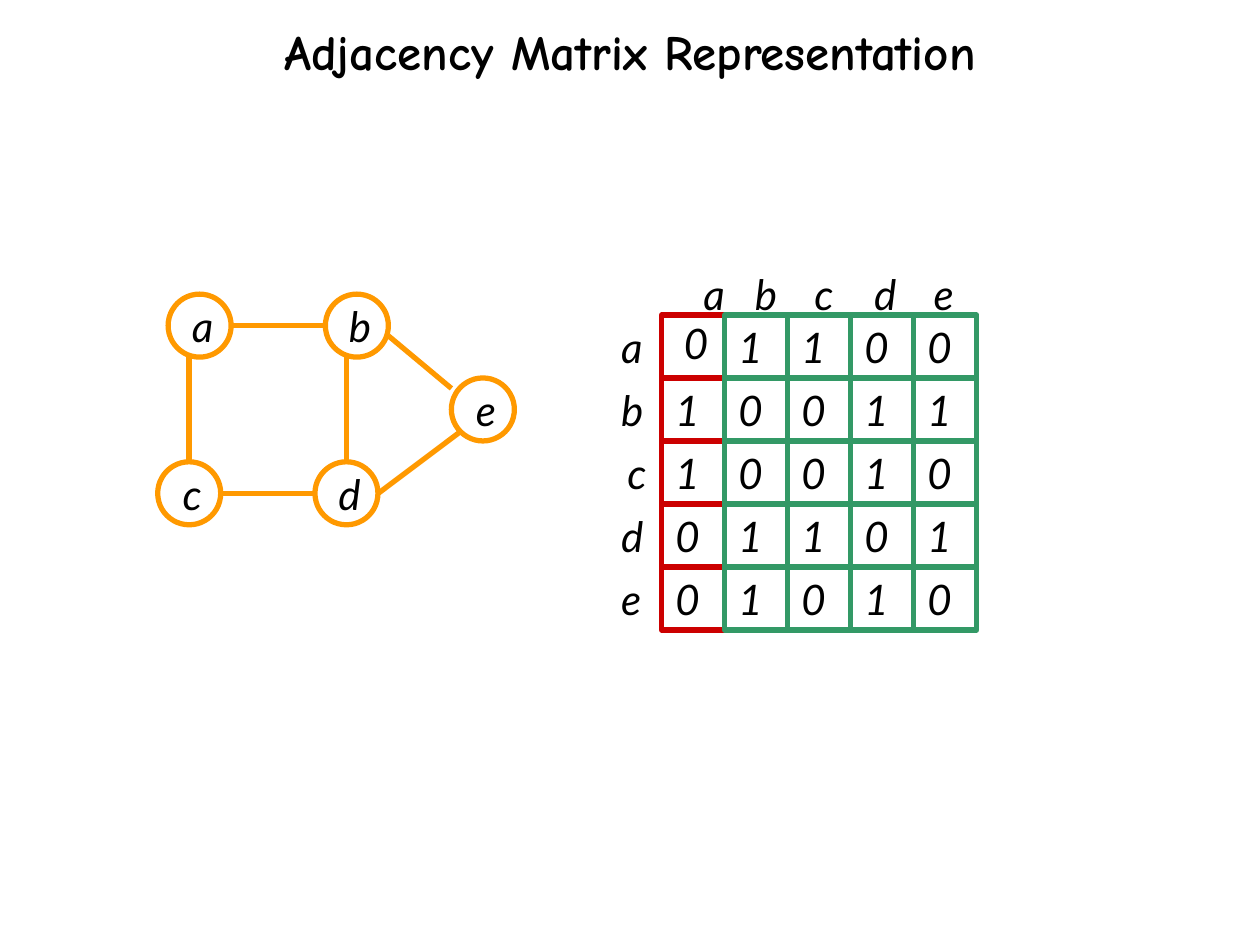
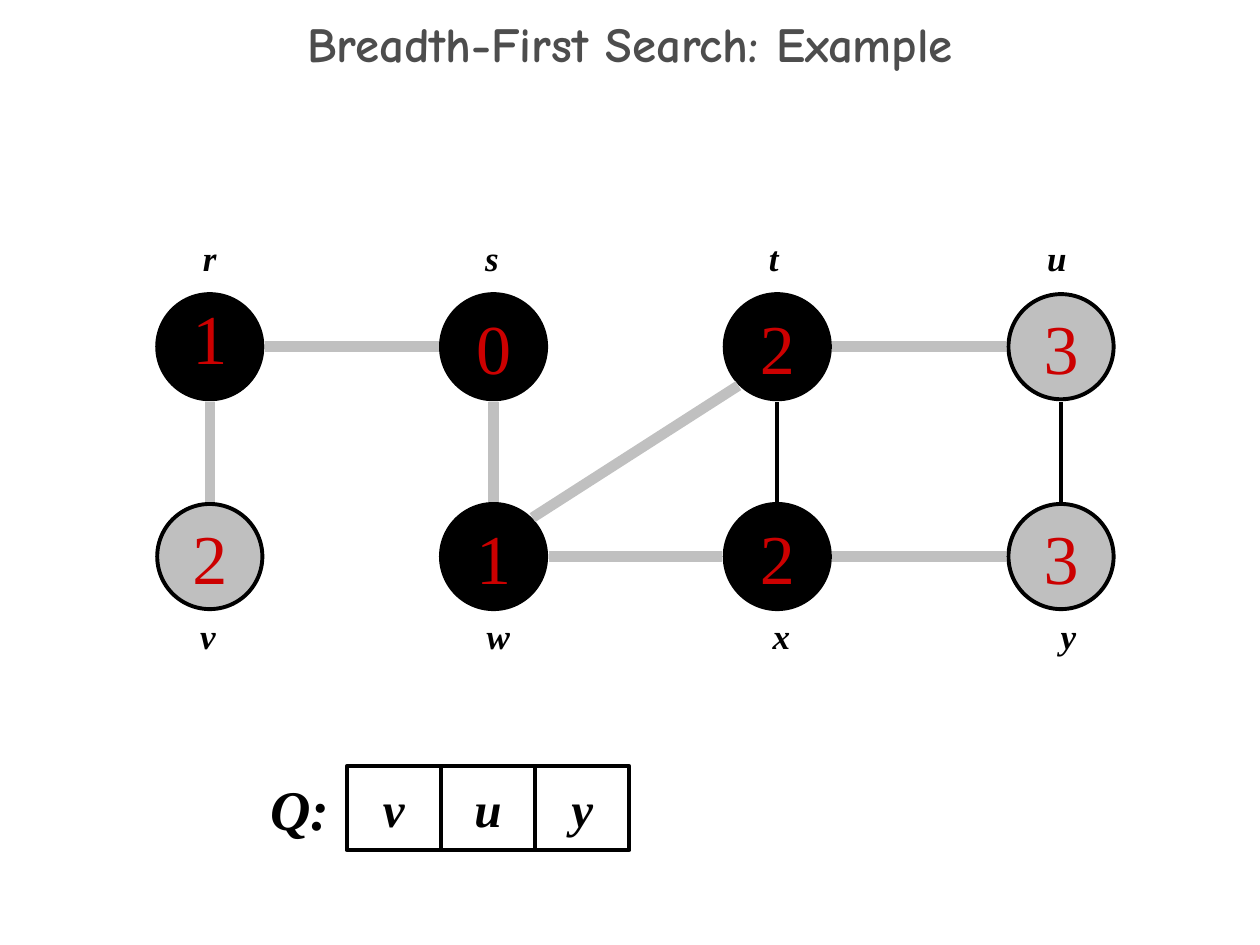
"""Build two slides on graphs: an adjacency matrix and a breadth-first search."""
from math import copysign, hypot

from lxml.etree import SubElement
from pptx import Presentation
from pptx.dml.color import RGBColor
from pptx.enum.shapes import MSO_CONNECTOR as Connector, MSO_SHAPE as Shape
from pptx.enum.text import MSO_ANCHOR as Anchor, MSO_AUTO_SIZE as AutoSize, PP_ALIGN as Align
from pptx.oxml.ns import qn
from pptx.util import Cm, Pt

BLACK = RGBColor(0x00, 0x00, 0x00)
CHARCOAL = RGBColor(0x4D, 0x4D, 0x4D)
ORANGE = RGBColor(0xFF, 0x99, 0x00)
RED = RGBColor(0xCC, 0x00, 0x00)
GREEN = RGBColor(0x33, 0x99, 0x66)
GREY = RGBColor(0xBF, 0xBF, 0xBF)
SILVER = RGBColor(0xC0, 0xC0, 0xC0)

TITLE = {"name": "Comic Neue", "size": Pt(28), "bold": True, "italic": False}
LETTER = {"name": "Lato", "size": Pt(24), "italic": True}
DISTANCE = {"name": "Times New Roman", "size": Pt(40)}
VERTEX = {"name": "Times New Roman", "size": Pt(20), "bold": True, "italic": True}
QUEUE_ITEM = VERTEX | {"size": Pt(28)}
QUEUE_NAME = VERTEX | {"size": Pt(32)}


class Deck:
    def __init__(self):
        self.presentation = Presentation()
        self.presentation.slide_width = Cm(25.4)
        self.presentation.slide_height = Cm(19.05)
        self.slide = None

    def fill_text(self, shape, text, style, color=BLACK, align=Align.CENTER, spacing=None):
        paragraph = shape.text_frame.paragraphs[0]
        paragraph.text = text
        paragraph.alignment = align
        paragraph.line_spacing = spacing
        font = paragraph.runs[0].font
        for attribute, value in style.items():
            setattr(font, attribute, value)
        font.color.rgb = color

    def add_slide(self, title, top, color):
        self.slide = self.presentation.slides.add_slide(self.presentation.slide_layouts[5])
        shape = self.slide.shapes.title
        box = {"left": Cm(0), "top": Cm(top), "width": Cm(25.4), "height": Cm(1.27)}
        for attribute, value in box.items():
            setattr(shape, attribute, value)
        shape.text_frame.auto_size = AutoSize.NONE
        shape.text_frame.vertical_anchor = Anchor.MIDDLE
        self.fill_text(shape, title, TITLE, color, spacing=0.7)

    def text(self, text, box, style, wrap=False, anchor=Anchor.TOP, align=Align.CENTER):
        shape = self.slide.shapes.add_textbox(*map(Cm, box))
        frame = shape.text_frame
        frame.word_wrap = wrap
        frame.vertical_anchor = anchor
        frame.auto_size = AutoSize.SHAPE_TO_FIT_TEXT if anchor == Anchor.TOP else AutoSize.NONE
        self.fill_text(shape, text, style, align=align)
        return shape

    def tabbed_text(self, words, box, style, inset, stops):
        shape = self.text("\t".join(words), box, style, True, align=Align.LEFT)
        shape.text_frame.margin_left = Cm(inset)
        properties = shape.text_frame.paragraphs[0]._p.get_or_add_pPr()
        tabs = SubElement(properties, qn("a:tabLst"))
        for stop in stops:
            SubElement(tabs, qn("a:tab"), pos=str(Cm(stop)), algn="l")

    def shape(self, kind, box, line, width, fill=None):
        shape = self.slide.shapes.add_shape(kind, *map(Cm, box))
        shape.shadow.inherit = False
        shape.line.color.rgb = line
        shape.line.width = Pt(width)
        if fill is None:
            shape.fill.background()
        else:
            shape.fill.solid()
            shape.fill.fore_color.rgb = fill
        return shape

    def labelled_shape(self, kind, box, text, style, color=BLACK, fill=None, spacing=None):
        shape = self.shape(kind, box, BLACK, 2.25, fill)
        shape.text_frame.word_wrap = False
        shape.text_frame.vertical_anchor = Anchor.MIDDLE
        self.fill_text(shape, text, style, color, spacing=spacing)

    def line(self, points, color, width):
        connector = self.slide.shapes.add_connector(Connector.STRAIGHT, *map(Cm, points))
        connector.line.color.rgb = color
        connector.line.width = Pt(width)
        SubElement(connector._element.spPr, qn("a:effectLst"))


def add_adjacency_slide(deck):
    deck.add_slide("Adjacency Matrix Representation", 0.53, BLACK)
    size = 1.27
    nodes = {"a": (3.39, 5.93), "b": (6.56, 5.93), "c": (3.18, 9.31),
             "d": (6.35, 9.31), "e": (9.1, 7.62)}
    edges = [(3.81, 9.31, 3.81, 7.2), (6.56, 6.56, 4.66, 6.56), (6.35, 9.95, 4.45, 9.95),
             (6.99, 9.31, 6.99, 7.2), (9.1, 7.83, 7.83, 6.77), (9.31, 8.68, 7.62, 9.95)]
    for name, (left, top) in nodes.items():
        deck.shape(Shape.OVAL, (left, top, size, size), ORANGE, 3)
        deck.text(name, (left + 0.21, top, 0.97, size), LETTER)
    for points in edges:
        deck.line(points, ORANGE, 3)

    matrix = ["01100", "10011", "10010", "01101", "01010"]
    matrix_left, matrix_top = 13.34, 6.35
    for column in range(len(nodes)):
        for row in range(len(nodes)):
            box = (matrix_left + column * size, matrix_top + row * size, size, size)
            deck.shape(Shape.RECTANGLE, box, GREEN if column else RED, 3)
    for row, (name, values) in enumerate(zip(nodes, matrix)):
        top = matrix_top + row * size
        deck.text(name, (12.4 if name == "c" else 12.27, top, 0.51, size), LETTER, True)
        for column, value in enumerate(values):
            left = matrix_left + column * size
            first = row == column == 0
            corner = (left + 0.17, top - 0.08) if first else (left, top)
            deck.text(value, (*corner, 1.04, size), LETTER)
    deck.tabbed_text(nodes, (13.55, 5.29, 6.35, size), LETTER, 0.63,
                     [1.04 + 1.2 * index for index in range(4)])


def add_search_slide(deck):
    deck.add_slide("Breadth-First Search: Example", 0.38, CHARCOAL)
    diameter, reach = 2.12, 1.11
    lefts = [3.17 + 5.72 * column for column in range(4)]
    tops, label_tops = (5.93, 10.16), (4.65, 12.27)
    nodes = {"r": (0, 0, "1", BLACK, 4.23), "v": (0, 1, "2", GREY, 4.19),
             "s": (1, 0, "0", BLACK, 9.92), "w": (1, 1, "1", BLACK, 9.99),
             "t": (2, 0, "2", BLACK, 15.6), "x": (2, 1, "2", BLACK, 15.75),
             "u": (3, 0, "3", GREY, 21.29), "y": (3, 1, "3", GREY, 21.54)}
    centers = {}
    for name, (column, row, distance, fill, label_center) in nodes.items():
        left, top = lefts[column], tops[row]
        centers[name] = (left + diameter / 2, top + diameter / 2)
        deck.labelled_shape(Shape.OVAL, (left, top, diameter, diameter), distance, DISTANCE,
                            RED, fill, 0.7 if name == "r" else None)
        deck.text(name, (label_center - 0.43, label_tops[row], 0.86, 1.09), VERTEX)

    tree_edges = ["vr", "rs", "sw", "wt", "wx", "tu", "xy"]
    for start, end in tree_edges + ["xt", "yu"]:
        (x1, y1), (x2, y2) = centers[start], centers[end]
        step_x, step_y = (copysign(1, gap) if gap else 0 for gap in (x2 - x1, y2 - y1))
        scale = reach / hypot(step_x, step_y)
        shift_x, shift_y = step_x * scale, step_y * scale
        color, width = (SILVER, 6) if start + end in tree_edges else (BLACK, 2.25)
        deck.line((x1 + shift_x, y1 + shift_y, x2 - shift_x, y2 - shift_y), color, width)

    cell_width, cell_height, queue_left, queue_top = 1.9, 1.69, 6.99, 15.45
    deck.text("Q:", (queue_left - cell_width, queue_top, cell_width, cell_height),
              QUEUE_NAME, anchor=Anchor.MIDDLE)
    for index, name in enumerate("vuy"):
        box = (queue_left + index * cell_width, queue_top, cell_width, cell_height)
        deck.labelled_shape(Shape.RECTANGLE, box, name, QUEUE_ITEM)


def main():
    deck = Deck()
    add_adjacency_slide(deck)
    add_search_slide(deck)
    deck.presentation.save("out.pptx")


if __name__ == "__main__":
    main()
